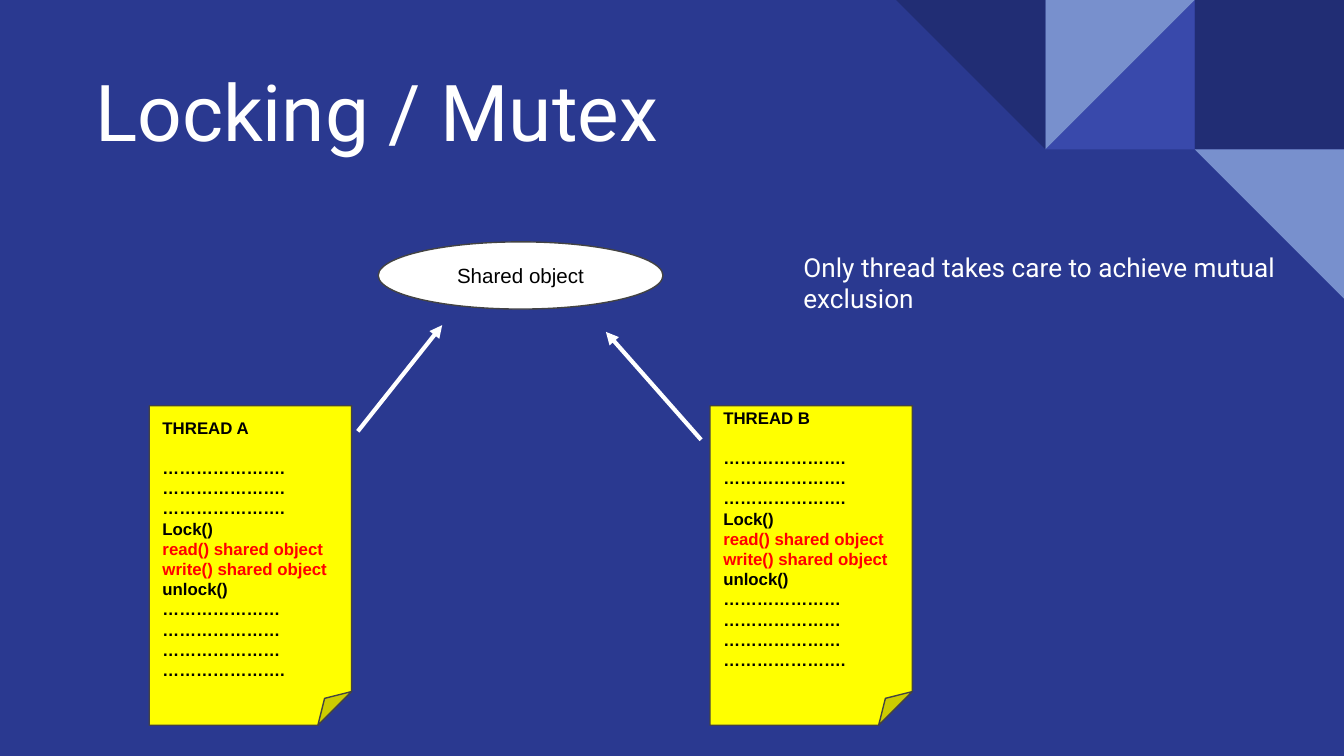
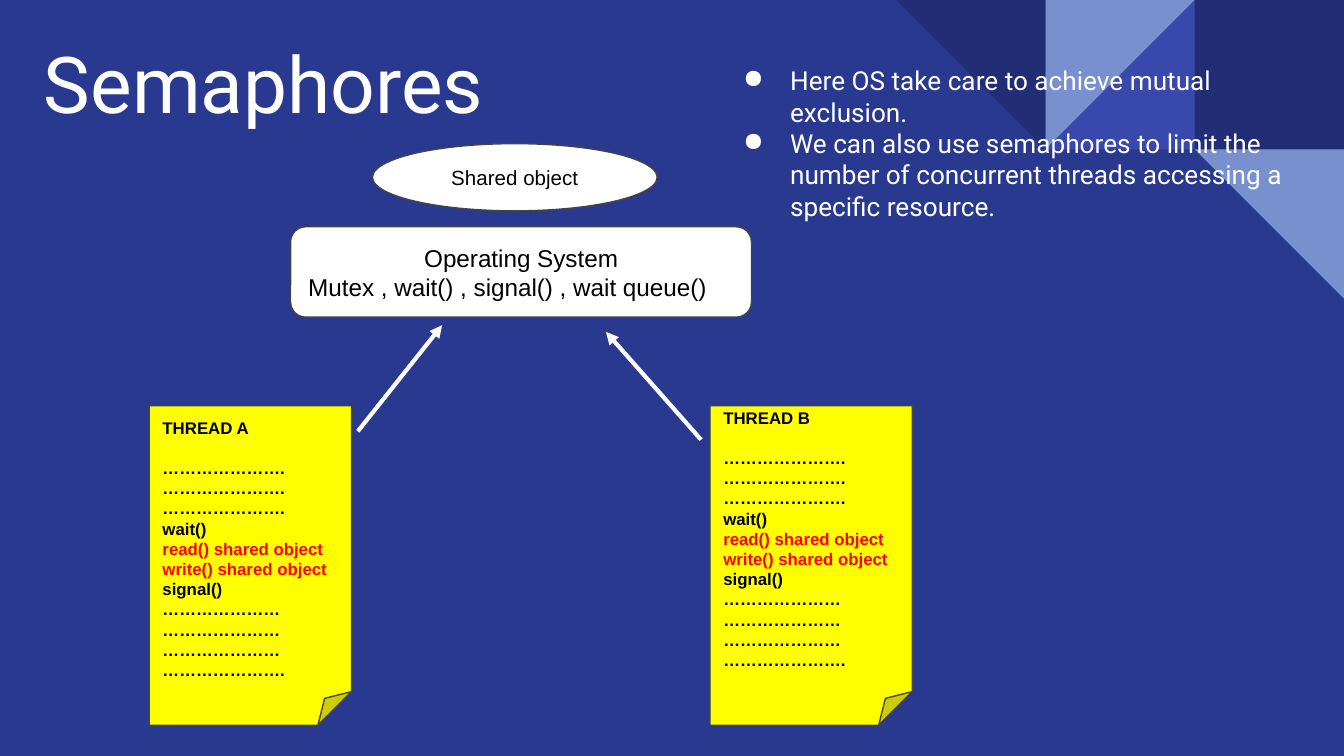
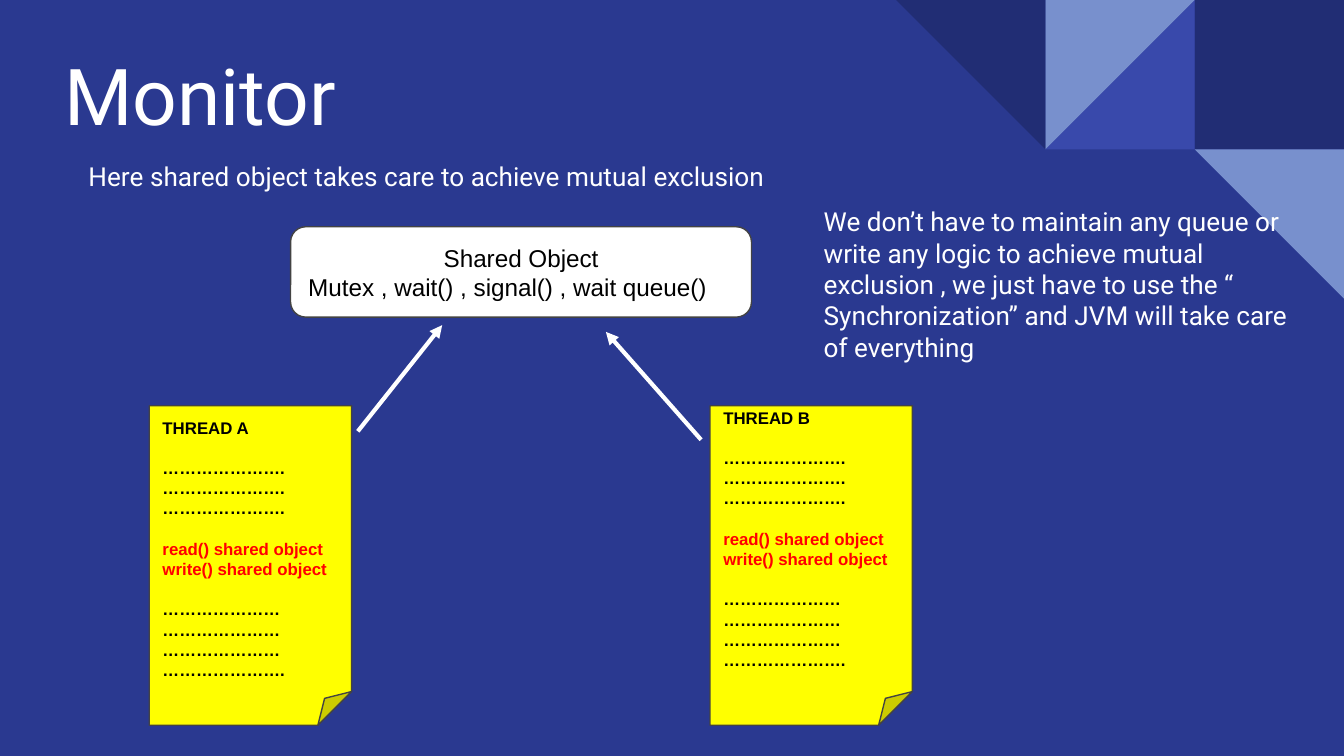
from dataclasses import dataclass

from lxml import etree
from pptx import Presentation
from pptx.dml.color import RGBColor
from pptx.enum import shapes, text
from pptx.oxml import ns
from pptx.util import Pt

COLORS = {
    "background": "2A3990",
    "navy": "212D74",
    "indigo": "3949AB",
    "sky": "7890CD",
    "note": "FFFF00",
    "outline": "434343",
    "white": "FFFFFF",
    "black": "000000",
    "critical": "FF0000",
}
SHAPE = shapes.MSO_SHAPE
LEFT, CENTER = text.PP_ALIGN.LEFT, text.PP_ALIGN.CENTER
TILE = 80
INSET = 7.2
NOTE_LINE = 10.8


@dataclass
class Line:
    words: str
    color: str = "black"
    align: text.PP_ALIGN = LEFT
    gap: float = 0
    bullet: bool = False


def rgb(name):
    return RGBColor.from_string(COLORS[name])


def add_xml(parent, tag, **attributes):
    return etree.SubElement(parent, ns.qn(tag), attributes)


def add_bullet(paragraph):
    properties = paragraph._p.get_or_add_pPr()
    properties.set("marL", str(Pt(36)))
    properties.set("indent", str(Pt(-25.2)))
    add_xml(add_xml(properties, "a:buClr"), "a:srgbClr", val=COLORS["white"])
    add_xml(properties, "a:buChar", char="●")


def write_lines(shape, lines, font, size, bold=False, anchor=text.MSO_ANCHOR.MIDDLE, bottom=INSET):
    frame = shape.text_frame
    frame.word_wrap = True
    frame.vertical_anchor = anchor
    frame.margin_left = frame.margin_right = frame.margin_top = Pt(INSET)
    frame.margin_bottom = Pt(bottom)
    for index, line in enumerate(lines):
        paragraph = frame.add_paragraph() if index else frame.paragraphs[0]
        paragraph.alignment = line.align
        if line.gap:
            paragraph.space_before = Pt(line.gap)
        if line.bullet:
            add_bullet(paragraph)
        run = paragraph.add_run()
        run.text = line.words
        run.font.name = font
        run.font.size = Pt(size)
        run.font.bold = bold
        run.font.color.rgb = rgb(line.color)


def add_filled_shape(parent, kind, box, fill, outline=None):
    shape = parent.shapes.add_shape(kind, *map(Pt, box))
    shape.shadow.inherit = False
    shape.fill.solid()
    shape.fill.fore_color.rgb = rgb(fill)
    if outline:
        shape.line.color.rgb = rgb(outline)
        shape.line.width = Pt(0.75)
    else:
        shape.line.fill.background()
    return shape


def add_corner_tiles(slide):
    group = slide.shapes.add_group_shape()
    for kind, column, row, rotation, fill in (
        (SHAPE.RECTANGLE, 8, 0, 0, "navy"),
        (SHAPE.RIGHT_TRIANGLE, 7, 0, 270, "indigo"),
        (SHAPE.RIGHT_TRIANGLE, 7, 0, 90, "sky"),
        (SHAPE.RIGHT_TRIANGLE, 6, 0, 180, "navy"),
        (SHAPE.RIGHT_TRIANGLE, 8, 1, 180, "sky"),
    ):
        box = (column * TILE, row * TILE, TILE, TILE)
        add_filled_shape(group, kind, box, fill).rotation = rotation


def add_title(slide, words, left, top):
    title = slide.shapes.add_textbox(Pt(left), Pt(top), Pt(647.2), Pt(66.2))
    write_lines(title, [Line(words, "white")], "Roboto", 42)


def add_remark(slide, box, *remarks, bullet=False):
    remark = slide.shapes.add_textbox(*map(Pt, box))
    lines = [Line(words, "white", bullet=bullet) for words in remarks]
    write_lines(remark, lines, "Roboto", 14, anchor=text.MSO_ANCHOR.TOP)
    remark.text_frame.auto_size = text.MSO_AUTO_SIZE.SHAPE_TO_FIT_TEXT


def add_shared_object(slide, left, top):
    ellipse = add_filled_shape(slide, SHAPE.OVAL, (left, top, 152.6, 36), "white", "outline")
    write_lines(ellipse, [Line("Shared object", align=CENTER)], "Arial", 11)


def add_owner(slide, owner):
    """Add the box naming who holds the mutex and its wait queue."""
    box = add_filled_shape(
        slide, SHAPE.ROUNDED_RECTANGLE, (155.7, 121.5, 246.9, 48.4), "white", "outline")
    lines = [Line(owner, align=CENTER), Line("Mutex , wait() , signal() , wait queue()")]
    write_lines(box, lines, "Arial", 13)


def thread_lines(name, enter, leave):
    """List a thread's code; without guard calls their lines stay open as gaps."""
    open_line = 0 if enter else NOTE_LINE
    lines = [Line(name)]
    lines += [Line("………………….", gap=0 if index else NOTE_LINE) for index in range(3)]
    if enter:
        lines.append(Line(enter))
    lines.append(Line("read() shared object", "critical", gap=open_line))
    lines.append(Line("write() shared object", "critical"))
    if leave:
        lines.append(Line(leave))
    lines += [Line("…………………", gap=0 if index else open_line) for index in range(3)]
    return lines + [Line("………………….")]


def add_arrow(slide, start, end):
    arrow = slide.shapes.add_connector(
        shapes.MSO_CONNECTOR.STRAIGHT, *map(Pt, start + end))
    arrow.line.color.rgb = rgb("white")
    arrow.line.width = Pt(2.25)
    add_xml(arrow.line._get_or_add_ln(), "a:tailEnd", type="triangle")
    add_xml(arrow._element.spPr, "a:effectLst")


def add_threads(slide, enter=None, leave=None):
    for name, left, bottom in (
        ("THREAD A", 80, INSET),
        ("THREAD B", 380.4, INSET + NOTE_LINE),
    ):
        note = add_filled_shape(
            slide, SHAPE.FOLDED_CORNER, (left, 217.4, 108.4, 171.2), "note", "outline")
        write_lines(note, thread_lines(name, enter, leave), "Arial", 9, bold=True, bottom=bottom)
    add_arrow(slide, (191.7, 231.1), (236.9, 174.2))
    add_arrow(slide, (375.6, 235.6), (324.6, 177.8))


def add_slide(presentation, title, left, top):
    slide = presentation.slides.add_slide(presentation.slide_layouts[6])
    add_corner_tiles(slide)
    add_title(slide, title, left, top)
    return slide


def main():
    presentation = Presentation()
    presentation.slide_width, presentation.slide_height = Pt(720), Pt(405)
    background = presentation.slide_master.background.fill
    background.solid()
    background.fore_color.rgb = rgb("background")

    slide = add_slide(presentation, "Locking / Mutex", 44, 26)
    add_shared_object(slide, 202.6, 129.6)
    add_threads(slide, "Lock()", "unlock()")
    add_remark(slide, (423.3, 127.5, 279.4, 48.2),
               "Only thread takes care to achieve mutual exclusion")

    slide = add_slide(presentation, "Semaphores", 16.5, 11)
    add_shared_object(slide, 199.5, 77)
    add_threads(slide, "wait()", "signal()")
    add_remark(slide, (380.2, 27.4, 324, 99.4),
               "Here OS take care to achieve mutual exclusion.",
               "We can also use semaphores to limit the number of concurrent threads "
               "accessing a specific resource.", bullet=True)
    add_owner(slide, "Operating System")

    slide = add_slide(presentation, "Monitor", 27.4, 17.3)
    add_remark(slide, (40.3, 78.5, 455, 31.7),
               "Here shared object takes care to achieve mutual exclusion")
    add_threads(slide)
    add_owner(slide, "Shared Object")
    add_remark(slide, (434.2, 103, 271.4, 99.4),
               "We don’t have to maintain any queue or write any logic to achieve mutual "
               "exclusion , we just have to use the “ Synchronization” and JVM will take "
               "care of everything")

    presentation.save("out.pptx")


if __name__ == "__main__":
    main()
